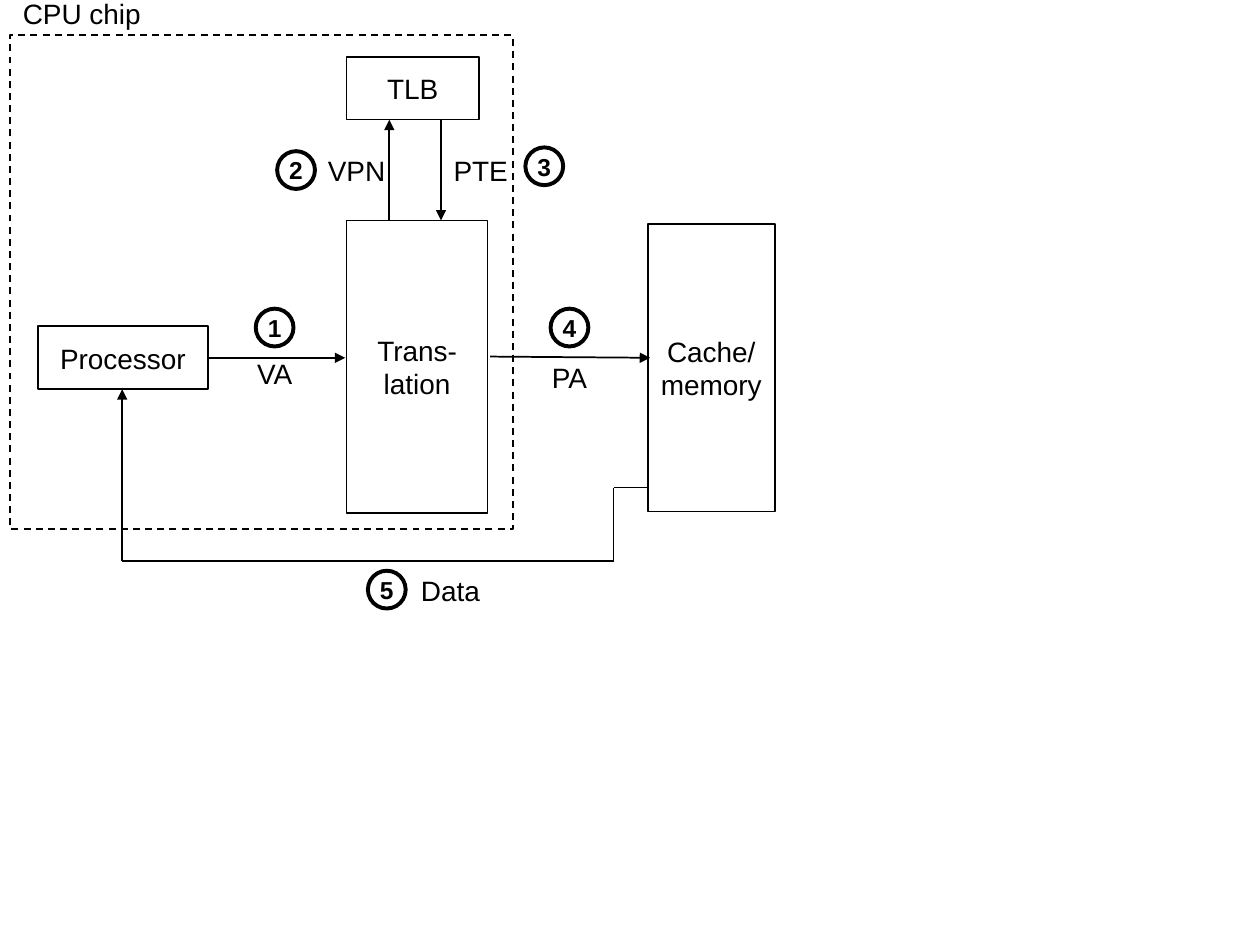
from pptx import Presentation
from pptx.dml.color import RGBColor
from pptx.enum.dml import MSO_LINE
from pptx.enum.shapes import MSO_CONNECTOR, MSO_SHAPE
from pptx.enum.text import MSO_ANCHOR, MSO_AUTO_SIZE, PP_ALIGN
from pptx.oxml.ns import qn
from pptx.util import Inches, Pt
from lxml import etree

BLACK = RGBColor(0, 0, 0)
RECT, OVAL = MSO_SHAPE.RECTANGLE, MSO_SHAPE.OVAL
STRAIGHT = MSO_CONNECTOR.STRAIGHT
DASH = MSO_LINE.DASH
MIDDLE, TOP = MSO_ANCHOR.MIDDLE, MSO_ANCHOR.TOP
CENTER, LEFT = PP_ALIGN.CENTER, PP_ALIGN.LEFT
GROW = MSO_AUTO_SIZE.SHAPE_TO_FIT_TEXT
STEP_SIZE = 0.3

# Text lines, then left, top, width, height
CHIP = (0.08, 0.28, 3.99, 3.92)
UNITS = [
    (["Processor"], (0.3, 2.59, 1.35, 0.5)),
    (["Trans-", "lation"], (2.75, 1.75, 1.12, 2.32)),
    (["Cache/", "memory"], (5.14, 1.78, 1.01, 2.28)),
    (["TLB"], (2.75, 0.45, 1.05, 0.5)),
]
LABELS = [
    ("CPU chip", (0.08, -0.08, 1.14, 0.37)),
    ("VPN", (2.5, 1.17, 0.66, 0.37)),
    ("PTE", (3.5, 1.17, 0.63, 0.37)),
    ("Data", (3.24, 4.5, 0.67, 0.37)),
]
TIGHT_LABELS = [
    ("VA", (1.97, 2.84, 0.43, 0.28)),
    ("PA", (4.31, 2.87, 0.43, 0.28)),
]
# Left and top of steps 1 to 5
STEPS = [(2.03, 2.45), (2.2, 1.2), (4.17, 1.17), (4.37, 2.45), (2.92, 4.53)]
# Each route ends in an arrowhead
ROUTES = [
    [(1.65, 2.84), (2.74, 2.84)],
    [(3.09, 1.75), (3.09, 0.95)],
    [(3.5, 0.95), (3.5, 1.75)],
    [(3.89, 2.83), (5.16, 2.84)],
    [(5.14, 3.87), (4.87, 3.87), (4.87, 4.45), (0.97, 4.45), (0.97, 3.09)],
]

prs = Presentation()
prs.slide_width, prs.slide_height = Inches(10), Inches(7.5)
shapes = prs.slides.add_slide(prs.slide_layouts[6]).shapes


def write(shape, lines, size=16, bold=False, align=CENTER, anchor=MIDDLE):
    frame = shape.text_frame
    frame.word_wrap = False
    frame.vertical_anchor = anchor
    frame.text = "\n".join(lines)
    for para in frame.paragraphs:
        para.alignment = align
        para.font.name = "Arial"
        para.font.size = Pt(size)
        para.font.bold = bold
        para.font.color.rgb = BLACK
    return frame


def outline(kind, place, width=1):
    shape = shapes.add_shape(kind, *map(Inches, place))
    shape.shadow.inherit = False
    shape.fill.background()
    shape.line.color.rgb = BLACK
    shape.line.width = Pt(width)
    return shape


def label(text, place, **style):
    box = shapes.add_textbox(*map(Inches, place))
    frame = write(box, [text], **style)
    frame.auto_size = GROW
    return frame


def link(start, end, arrow):
    line = shapes.add_connector(STRAIGHT, *map(Inches, start + end))
    line.line.color.rgb = BLACK
    line.line.width = Pt(1)
    if arrow:
        etree.SubElement(line.line._get_or_add_ln(), qn("a:tailEnd"), type="triangle")
    etree.SubElement(line._element.spPr, qn("a:effectLst"))


outline(RECT, CHIP).line.dash_style = DASH

for lines, place in UNITS:
    write(outline(RECT, place), lines)

for route in ROUTES:
    for i, (start, end) in enumerate(zip(route, route[1:]), 2):
        link(start, end, arrow=i == len(route))

for text, place in LABELS:
    label(text, place)

for text, place in TIGHT_LABELS:
    frame = label(text, place, align=LEFT, anchor=TOP)
    frame.margin_left = frame.margin_right = Inches(0.07)
    frame.margin_top = frame.margin_bottom = Inches(0.03)
    frame.paragraphs[0].line_spacing = 0.85

for num, spot in enumerate(STEPS, 1):
    disc = outline(OVAL, (*spot, STEP_SIZE, STEP_SIZE), 2.25)
    write(disc, [str(num)], size=14, bold=True)

prs.save("out.pptx")
